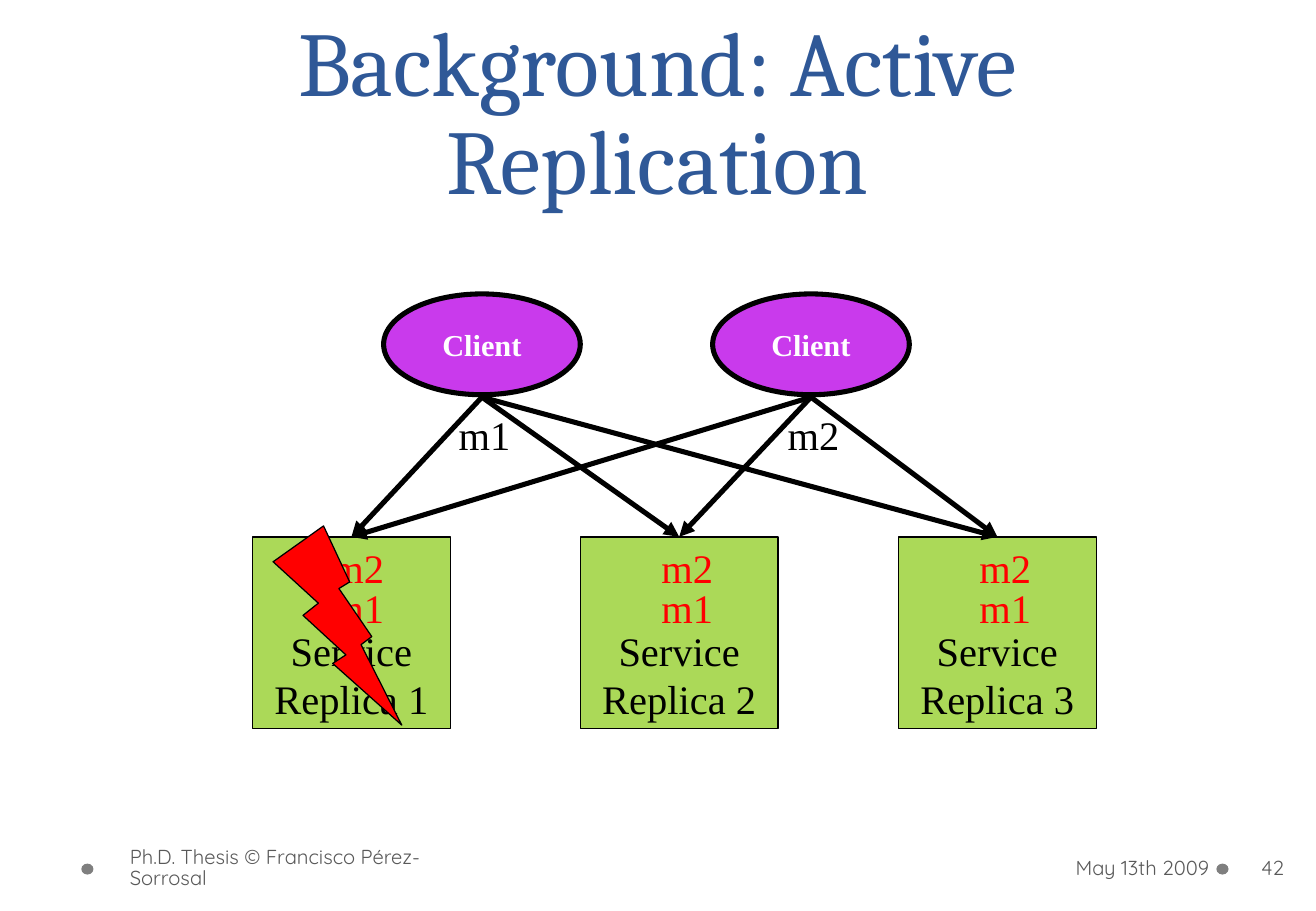
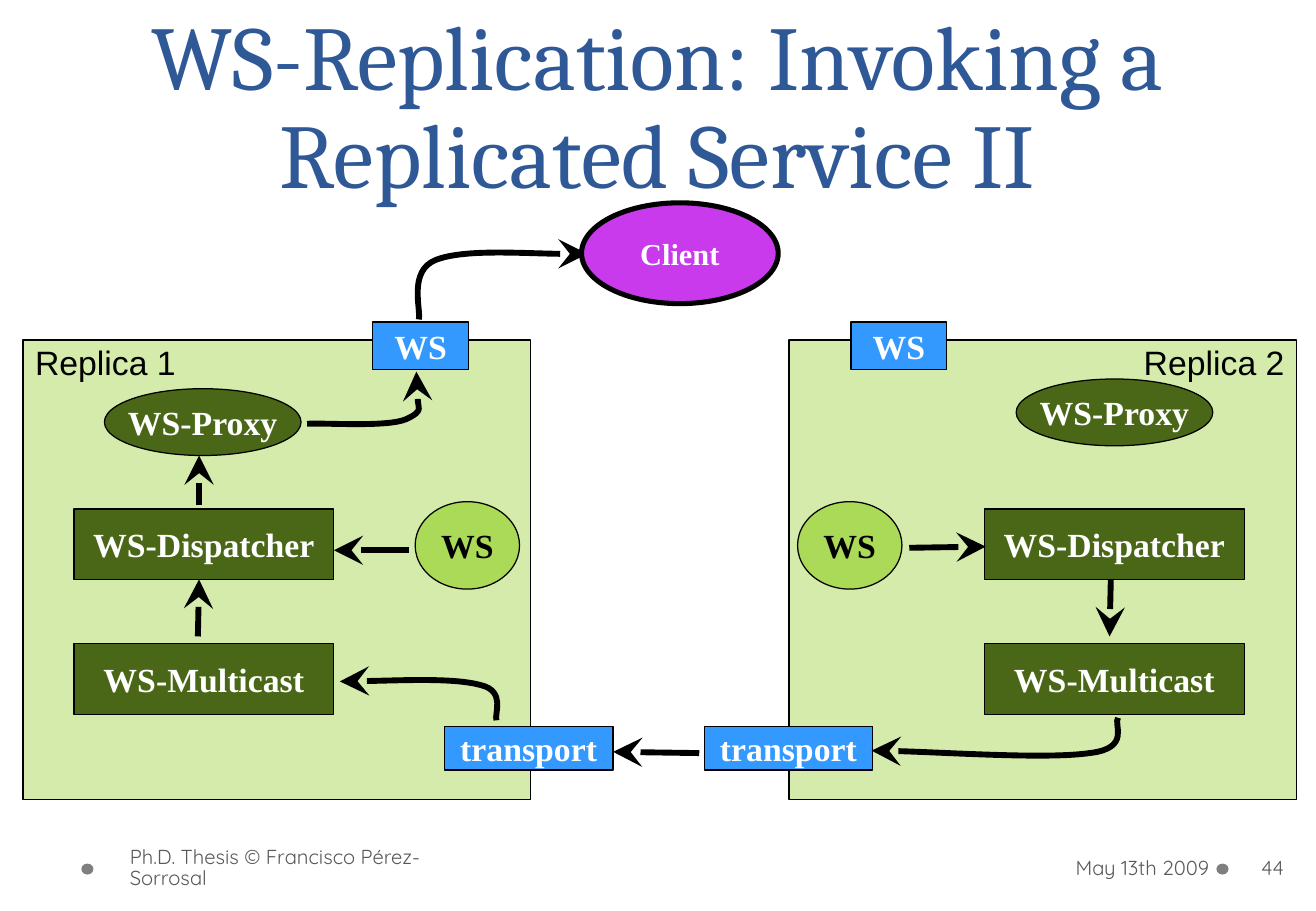
from dataclasses import dataclass

from lxml.etree import SubElement
from pptx import Presentation
from pptx.dml.color import RGBColor
from pptx.enum.shapes import MSO_CONNECTOR, MSO_SHAPE
from pptx.enum.text import MSO_ANCHOR, MSO_AUTO_SIZE, PP_ALIGN
from pptx.oxml.ns import qn
from pptx.util import Inches, Pt


@dataclass(frozen=True)
class Theme:
    title: str = "2F5897"
    footer: str = "595959"
    dot: str = "7F7F7F"
    black: str = "000000"
    white: str = "FFFFFF"
    red: str = "FF0000"
    client: str = "C93AEC"
    service: str = "ABD958"
    component: str = "4A6717"
    endpoint: str = "3399FF"
    title_font: str = "Cambria"
    footer_font: str = "Quicksand"
    diagram_font: str = "Times New Roman"
    panel_font: str = "Arial"
    title_size: int = 54
    message_size: int = 24
    node_size: int = 20
    client_size: int = 18
    footer_size: int = 12
    thin: float = 0.75
    thick: float = 3
    flow: float = 3.5


THEME = Theme()
REPLICA_WIDTH, REPLICA_TOP = 1.63, 4.42
CLIENT_WIDTH, CLIENT_HEIGHT = 1.62, 0.83


# Text
def write(shape, text, size, color, font=THEME.diagram_font, bold=False,
          align=PP_ALIGN.CENTER, anchor=MSO_ANCHOR.MIDDLE, wrap=False, spacing=None):
    frame = shape.text_frame
    frame.text = text
    frame.word_wrap = wrap
    frame.vertical_anchor = anchor
    for paragraph in frame.paragraphs:
        paragraph.alignment = align
        if spacing:
            paragraph.line_spacing = spacing
        for run in paragraph.runs:
            run.font.size = Pt(size)
            run.font.name = font
            run.font.bold = bold
            run.font.color.rgb = RGBColor.from_string(color)


def add_text(slide, box, text, size, color, **style):
    shape = slide.shapes.add_textbox(*map(Inches, box))
    write(shape, text, size, color, **style)
    return shape


# Shapes
def add_node(slide, kind, box, fill, line_width=THEME.thin):
    shape = slide.shapes.add_shape(kind, *map(Inches, box))
    shape.shadow.inherit = False
    shape.fill.solid()
    shape.fill.fore_color.rgb = RGBColor.from_string(fill)
    if line_width:
        shape.line.color.rgb = RGBColor.from_string(THEME.black)
        shape.line.width = Pt(line_width)
    else:
        shape.line.fill.background()
    return shape


def add_label_node(slide, kind, box, fill, text, color=THEME.white):
    shape = add_node(slide, kind, box, fill)
    write(shape, text, THEME.node_size, color, bold=True)


def add_client(slide, left, top):
    box = (left, top, CLIENT_WIDTH, CLIENT_HEIGHT)
    shape = add_node(slide, MSO_SHAPE.OVAL, box, THEME.client, THEME.thick)
    write(shape, "Client", THEME.client_size, THEME.white, bold=True)


# Lines and arrows
def style_arrow(shape, width, head, head_size):
    shape.line.color.rgb = RGBColor.from_string(THEME.black)
    shape.line.width = Pt(width)
    SubElement(shape.line._get_or_add_ln(), qn("a:tailEnd"),
               type=head, w=head_size, len=head_size)


def add_arrow(slide, start, end, width=THEME.flow, head="stealth", head_size="lg",
              target=None):
    arrow = slide.shapes.add_connector(
        MSO_CONNECTOR.STRAIGHT, *map(Inches, start + end))
    if target:
        arrow.end_connect(*target)
    style_arrow(arrow, width, head, head_size)
    SubElement(arrow._element.spPr, qn("a:effectLst"))


def add_curved_arrow(slide, points):
    """Draw joined cubic curves: a start, then three points for each curve."""
    start, *others = [tuple(map(Inches, point)) for point in points]
    builder = slide.shapes.build_freeform(*start)
    builder.add_line_segments(others, close=False)
    shape = builder.convert_to_shape()
    # Turn each three line segments into one cubic curve
    outline = next(shape._element.iter(qn("a:path")))
    segments = outline.findall(qn("a:lnTo"))
    for first in range(0, len(segments), 3):
        curve = SubElement(outline, qn("a:cubicBezTo"))
        for segment in segments[first:first + 3]:
            curve.append(segment[0])
            outline.remove(segment)
    shape.shadow.inherit = False
    shape.fill.background()
    style_arrow(shape, THEME.flow, "stealth", "lg")


# Title and footer shared by all slides
def add_footer_text(slide, box, text, insets, align=PP_ALIGN.LEFT, indent=0):
    shape = add_text(slide, box, text, THEME.footer_size, THEME.footer,
                     font=THEME.footer_font, align=align, wrap=True, spacing=0.9)
    frame = shape.text_frame
    frame.margin_left, frame.margin_right = map(Inches, insets)
    properties = frame.paragraphs[0]._p.get_or_add_pPr()
    properties.set("marL", str(Inches(indent)))


def add_frame(presentation, title, title_top, number):
    slide = presentation.slides.add_slide(presentation.slide_layouts[6])
    for left in (0.67, 10.02):
        add_node(slide, MSO_SHAPE.OVAL, (left, 7.11, 0.1, 0.09), THEME.dot, 0)
    add_text(slide, (0.54, title_top, 9.75, 1.75), title, THEME.title_size,
             THEME.title, font=THEME.title_font, anchor=MSO_ANCHOR.BOTTOM,
             wrap=True, spacing=Pt(58))
    add_footer_text(slide, (0.78, 6.95, 3.37, 0.4),
                    "Ph.D. Thesis © Francisco Pérez-Sorrosal", (0.05, 0.1), indent=0.24)
    add_footer_text(slide, (7.54, 6.95, 2.47, 0.4), "May 13th 2009", (0.1, 0.05),
                    align=PP_ALIGN.RIGHT)
    add_footer_text(slide, (10.12, 6.95, 0.67, 0.4), number, (0.03, 0.05), indent=0.24)
    return slide


# Active replication diagram
def add_message(slide, left, top, text, color):
    shape = add_text(slide, (left, top, 0.62, 0.5), text, THEME.message_size, color,
                     anchor=MSO_ANCHOR.TOP)
    frame = shape.text_frame
    frame.margin_left = frame.margin_right = Inches(0.05)
    frame.auto_size = MSO_AUTO_SIZE.SHAPE_TO_FIT_TEXT


def add_service_replica(slide, left, message_left, number):
    box = (left, REPLICA_TOP, REPLICA_WIDTH, 1.58)
    shape = add_node(slide, MSO_SHAPE.RECTANGLE, box, THEME.service)
    write(shape, f"Service\nReplica {number}", THEME.message_size, THEME.black,
          anchor=MSO_ANCHOR.BOTTOM)
    for row, text in enumerate(("m2", "m1")):
        add_message(slide, message_left, REPLICA_TOP + 0.33 * row, text, THEME.red)
    return shape


def build_active_replication(presentation):
    slide = add_frame(presentation, "Background: Active Replication", 0.05, "42")
    replica_lefts = (2.08, 4.78, 7.4)
    message_lefts = (2.64, 5.35, 7.97)
    replicas = [add_service_replica(slide, left, message_left, number)
                for number, (left, message_left)
                in enumerate(zip(replica_lefts, message_lefts), 1)]
    for left, message in ((3.16, "m1"), (5.87, "m2")):
        add_client(slide, left, 2.42)
        add_message(slide, left + 0.52, 3.33, message, THEME.black)
        for replica, replica_left in zip(replicas, replica_lefts):
            add_arrow(slide, (left + CLIENT_WIDTH / 2, 3.27),
                      (replica_left + REPLICA_WIDTH / 2, REPLICA_TOP),
                      THEME.thick, "triangle", "med", target=(replica, 0))
    add_node(slide, MSO_SHAPE.LIGHTNING_BOLT, (2.25, 4.33, 1.06, 1.64), THEME.red)


# Replicated service diagram
def add_panel(slide, left, text, align):
    box = (left, 2.8, 4.18, 3.78)
    panel = add_node(slide, MSO_SHAPE.RECTANGLE, box, THEME.service)
    color = panel._element.spPr.find(qn("a:solidFill")).find(qn("a:srgbClr"))
    SubElement(color, qn("a:alpha"), val="50000")
    write(panel, text, THEME.node_size, THEME.black, font=THEME.panel_font,
          align=align, anchor=MSO_ANCHOR.TOP, wrap=True, spacing=0.9)


def add_replica_nodes(slide, side):
    """Draw the nodes of one replica: side 0 is on the left, 1 on the right."""
    oval, rectangle = MSO_SHAPE.OVAL, MSO_SHAPE.RECTANGLE
    # Kind, left on each side, top, width, height, fill, text
    for kind, lefts, top, width, height, fill, text in (
        (oval, (0.86, 8.37), (3.2, 3.12)[side], 1.62, 0.55, THEME.component, "WS-Proxy"),
        (rectangle, (0.61, 8.11), 4.19, 2.14, 0.58, THEME.component, "WS-Dispatcher"),
        (rectangle, (0.61, 8.11), 5.3, 2.14, 0.58, THEME.component, "WS-Multicast"),
        (rectangle, (3.66, 5.8), 5.98, 1.39, 0.36, THEME.endpoint, "transport"),
        (rectangle, (3.07, 7.01), 2.65, 0.79, 0.39, THEME.endpoint, "WS"),
        (oval, (3.42, 6.57), 4.13, 0.86, 0.72, THEME.service, "WS"),
    ):
        color = THEME.black if fill == THEME.service else THEME.white
        add_label_node(slide, kind, (lefts[side], top, width, height), fill, text, color)


def build_replicated_service(presentation):
    slide = add_frame(presentation, "WS-Replication: Invoking a Replicated Service II",
                      0, "44")
    for side, (left, align) in enumerate(((0.19, PP_ALIGN.LEFT), (6.5, PP_ALIGN.RIGHT))):
        add_panel(slide, left, f"Replica {side + 1}", align)
        add_replica_nodes(slide, side)

    # Straight steps of the invocation
    for start, end in (
        ((1.64, 4.16), (1.64, 3.75)),
        ((1.63, 5.24), (1.64, 4.77)),
        ((3.37, 4.53), (2.75, 4.53)),
        ((9.15, 4.77), (9.14, 5.24)),
        ((5.76, 6.2), (5.05, 6.19)),
        ((7.49, 4.51), (8.12, 4.5)),
    ):
        add_arrow(slide, start, end)

    # Curved steps of the invocation
    for points in (
        ((3.45, 2.63), (3.47, 2.55), (3.36, 2.23), (3.59, 2.14),
         (3.82, 2.05), (4.57, 2.1), (4.84, 2.09)),
        ((2.53, 3.49), (2.67, 3.48), (3.2, 3.52), (3.35, 3.45),
         (3.5, 3.38), (3.42, 3.14), (3.43, 3.06)),
        ((4.09, 5.93), (4.07, 5.88), (4.17, 5.69), (3.96, 5.64),
         (3.74, 5.58), (3.04, 5.61), (2.8, 5.61)),
        ((9.21, 5.91), (9.17, 5.96), (9.32, 6.16), (8.98, 6.2),
         (8.64, 6.25), (7.56, 6.18), (7.18, 6.18)),
    ):
        add_curved_arrow(slide, points)
    add_client(slide, 4.79, 1.67)


def main():
    presentation = Presentation()
    presentation.slide_width = Inches(10.84)
    presentation.slide_height = Inches(7.5)
    build_active_replication(presentation)
    build_replicated_service(presentation)
    presentation.save("out.pptx")


if __name__ == "__main__":
    main()
